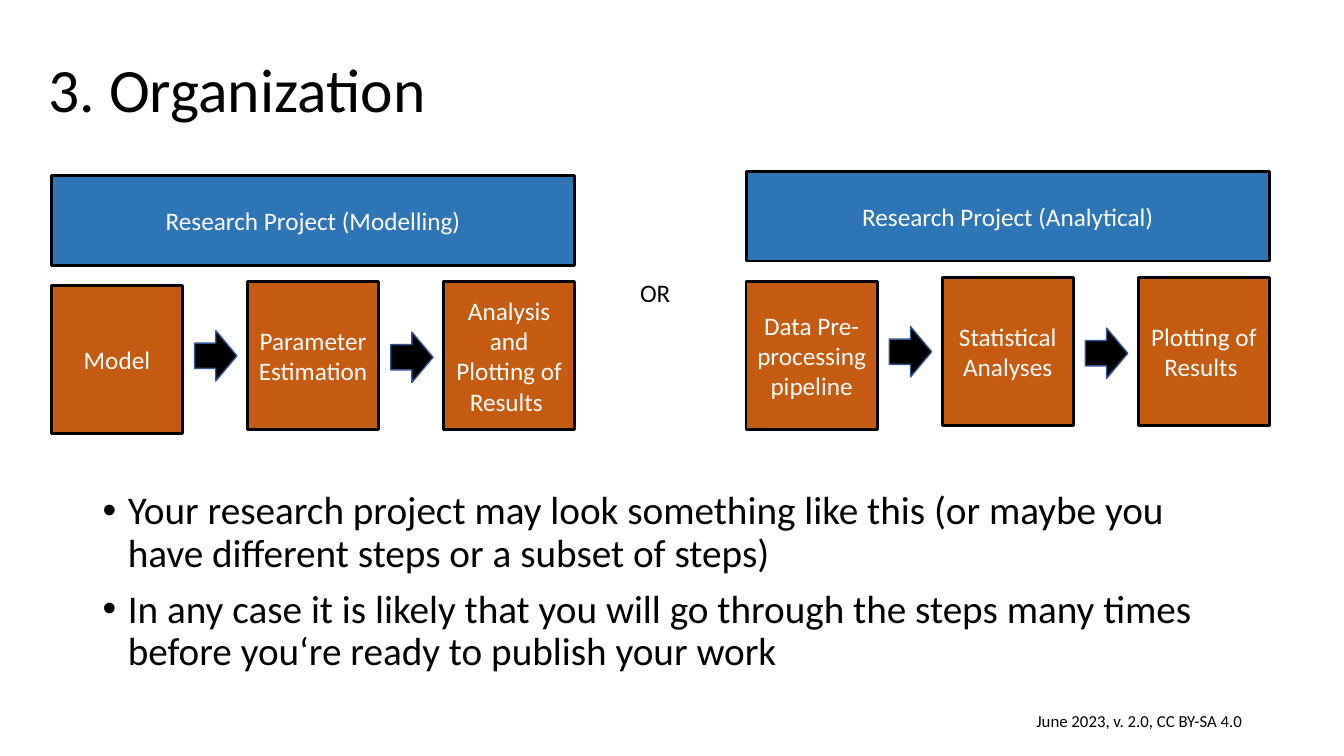
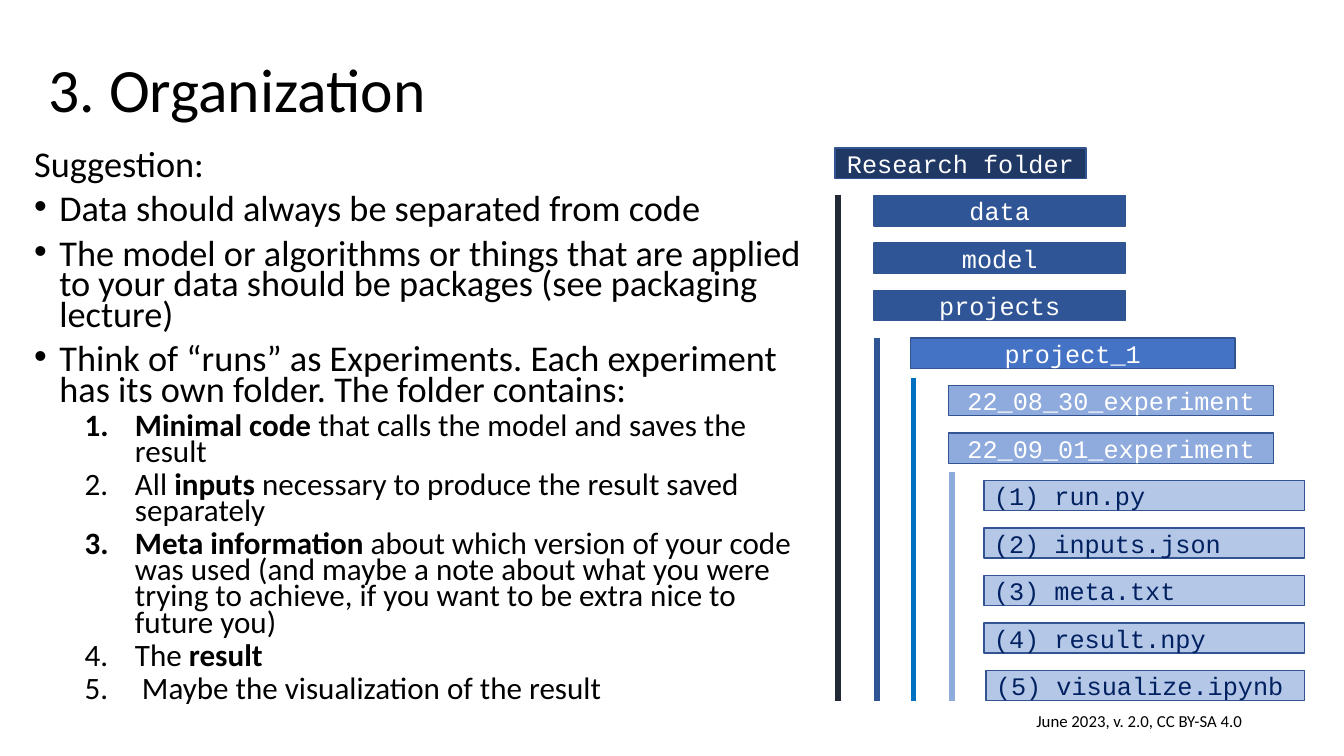
"""Build two slides on organizing a research project."""
from dataclasses import dataclass

from lxml import etree
from pptx import Presentation
from pptx.dml.color import RGBColor
from pptx.enum.shapes import MSO_CONNECTOR, MSO_SHAPE
from pptx.enum.text import MSO_ANCHOR, MSO_AUTO_SIZE, PP_ALIGN
from pptx.oxml.ns import qn
from pptx.presentation import Presentation as Deck
from pptx.shapes.autoshape import Shape
from pptx.slide import Slide
from pptx.text.text import TextFrame
from pptx.util import Inches, Pt

RECTANGLE, ARROW = MSO_SHAPE.RECTANGLE, MSO_SHAPE.RIGHT_ARROW
STRAIGHT = MSO_CONNECTOR.STRAIGHT
TOP, MIDDLE = MSO_ANCHOR.TOP, MSO_ANCHOR.MIDDLE
LEFT, CENTER, RIGHT = PP_ALIGN.LEFT, PP_ALIGN.CENTER, PP_ALIGN.RIGHT
NO_AUTOFIT = MSO_AUTO_SIZE.NONE

SLIDE_WIDTH, SLIDE_HEIGHT = Inches(13.33), Inches(7.5)
GRID_ROWS = 75
CELL = SLIDE_HEIGHT // GRID_ROWS
TITLE_ONLY = 5
SANS, MONO = "Calibri", "Courier New"
COLORS = {
    "black": "000000",
    "white": "FFFFFF",
    "banner": "2E75B6",
    "step": "C55A11",
    "outline": "325491",
    "root": "203864",
    "root guide": "222A35",
    "folder": "2F5597",
    "project": "4472C4",
    "project guide": "0070C0",
    "experiment": "8FAADC",
    "file": "B4C7E7",
    "file text": "002060",
}


@dataclass(frozen=True)
class Area:
    """A rectangle measured in grid columns and rows."""

    column: float
    row: float
    columns: float
    rows: float

    def emu(self) -> tuple[int, int, int, int]:
        """Return left, top, width and height in slide units."""
        return (round(self.column * CELL), round(self.row * CELL),
                round(self.columns * CELL), round(self.rows * CELL))


@dataclass(frozen=True)
class Line:
    """A paragraph whose bold parts stand between asterisks."""

    text: str
    bullet: str = ""
    level: int = 0


@dataclass(frozen=True)
class Flow:
    """A project banner with its steps below."""

    column: float
    row: float
    banner: str
    steps: tuple[str, ...]


@dataclass(frozen=True)
class Level:
    """A depth of the folder tree, with the guide line below it."""

    column: float
    columns: float
    fill: str
    guide: str = ""
    guide_row: float = 0
    text_color: str = "white"
    align: PP_ALIGN = CENTER


@dataclass(frozen=True)
class Entry:
    """A named row of the folder tree."""

    name: str
    depth: int
    indent: float = 0


TITLE = "3. Organization"
TITLE_AREA = Area(3.8, 4, 125.6, 10.4)
FOOTER = "June 2023, v. 2.0, CC BY-SA 4.0"
FOOTER_AREA = Area(79.2, 69.5, 45, 4)

STEP_PITCH = 19.45
FLOWS = (
    Flow(5.1, 17.4, "Research Project (Modelling)",
         ("Model", "Parameter Estimation", "Analysis\nand Plotting of Results ")),
    Flow(74, 17, "Research Project (Analytical)",
         ("Data Pre-processing pipeline", "Statistical Analyses", "Plotting of Results ")),
)
REMARKS = (
    Line("Your research project may look something like this (or maybe you have "
         "different steps or a subset of steps)", "•"),
    Line("In any case it is likely that you will go through the steps many times "
         "before you‘re ready to publish your work", "•"),
)

SUGGESTIONS = (
    Line("Suggestion:"),
    Line("Data should always be separated from code", "•"),
    Line("The model or algorithms or things that are applied to your data should be "
         "packages (see packaging lecture)", "•"),
    Line("Think of “runs” as Experiments. Each experiment has its own folder. "
         "The folder contains:", "•"),
    Line("*Minimal code *that calls the model and saves the result", "1.", 1),
    Line("All *inputs* necessary to produce the result saved separately", "1.", 1),
    Line("*Meta information *about which version of your code was used (and maybe a note "
         "about what you were trying to achieve, if you want to be extra nice to "
         "future you)", "1.", 1),
    Line("The *result*", "1.", 1),
    Line(" Maybe the visualization of the result", "1.", 1),
)

TREE_ROW, TREE_PITCH, ENTRY_ROWS = 14.7, 4.71, 3
GUIDE_INSET, GUIDE_END = 0.3, 69.5
LEVELS = (
    Level(82.8, 24.9, "root", "root guide", 19.3),
    Level(86.7, 24.9, "folder", "folder", 33.5),
    Level(90.3, 32.2, "project", "project guide", 37.5),
    Level(94.1, 32.2, "experiment", "experiment", 46.8),
    Level(97.6, 31.8, "file", text_color="file text", align=LEFT),
)
ENTRIES = (
    Entry("Research folder", 0),
    Entry("data", 1),
    Entry("model", 1),
    Entry("projects", 1),
    Entry("project_1", 2),
    Entry("22_08_30_experiment", 3),
    Entry("22_09_01_experiment", 3),
    Entry("(1) run.py", 4),
    Entry("(2) inputs.json", 4),
    Entry("(3) meta.txt", 4),
    Entry("(4) result.npy", 4),
    Entry("(5) visualize.ipynb", 4, 0.2),
)


def rgb(name: str) -> RGBColor:
    """Look up a named colour."""
    return RGBColor.from_string(COLORS[name])


def write_text(frame: TextFrame, lines: tuple[Line, ...], *, sizes: tuple[float, ...] = (18,),
               font: str = SANS, color: str = "black", align: PP_ALIGN = LEFT,
               anchor: MSO_ANCHOR = TOP, spacing: float = 1,
               before: tuple[float, ...] = (0,)) -> None:
    """Fill a frame with paragraphs; sizes and spaces before go by level."""
    frame.word_wrap = True
    frame.auto_size = NO_AUTOFIT
    frame.vertical_anchor = anchor
    for index, line in enumerate(lines):
        paragraph = frame.add_paragraph() if index else frame.paragraphs[0]
        if line.bullet:
            add_bullet(paragraph._p.get_or_add_pPr(), line)
        paragraph.level = line.level
        paragraph.alignment = align
        paragraph.line_spacing = spacing
        paragraph.space_before = Pt(before[line.level] if index else 0)
        for position, part in enumerate(line.text.split("*")):
            if part:
                run = paragraph.add_run()
                run.text = part
                run.font.name = font
                run.font.size = Pt(sizes[line.level])
                run.font.bold = position % 2 == 1
                run.font.color.rgb = rgb(color)


def add_bullet(properties: etree._Element, line: Line) -> None:
    """Give a paragraph a hanging bullet or an automatic number."""
    margin, hanging = (1, 0.5) if line.level else (0.25, 0.25)
    properties.set("marL", str(Inches(margin)))
    properties.set("indent", str(-Inches(hanging)))
    if line.bullet == "1.":
        etree.SubElement(properties, qn("a:buFont"), typeface="+mj-lt")
        etree.SubElement(properties, qn("a:buAutoNum"), type="arabicPeriod")
    else:
        etree.SubElement(properties, qn("a:buFont"), typeface="Arial")
        etree.SubElement(properties, qn("a:buChar"), char=line.bullet)


def add_text(slide: Slide, area: Area, lines: tuple[Line, ...], **style) -> None:
    """Add a text box."""
    write_text(slide.shapes.add_textbox(*area.emu()).text_frame, lines, **style)


def add_block(slide: Slide, area: Area, fill: str, *, kind: MSO_SHAPE = RECTANGLE,
              outline: str = "outline", weight: float = 1) -> Shape:
    """Add a filled, outlined shape."""
    shape = slide.shapes.add_shape(kind, *area.emu())
    shape.shadow.inherit = False
    shape.fill.solid()
    shape.fill.fore_color.rgb = rgb(fill)
    shape.line.color.rgb = rgb(outline)
    shape.line.width = Pt(weight)
    return shape


def add_project_box(slide: Slide, area: Area, text: str, fill: str) -> None:
    """Add a black-edged box with centred white text."""
    box = add_block(slide, area, fill, outline="black", weight=2)
    lines = tuple(Line(part) for part in text.split("\n"))
    write_text(box.text_frame, lines, color="white", align=CENTER, anchor=MIDDLE)


def add_flow(slide: Slide, flow: Flow) -> None:
    """Draw a banner, its steps and the arrows between them."""
    for index, step in enumerate(flow.steps):
        column = flow.column + index * STEP_PITCH
        row = flow.row + (10.55 if index else 10.9)
        add_project_box(slide, Area(column, row, 13, 14.7), step, "step")
        if index < len(flow.steps) - 1:
            arrow = Area(column + 14.2, flow.row + 15.4 + 0.15 * index, 4.2, 5)
            add_block(slide, arrow, "black", kind=ARROW)
    add_project_box(slide, Area(flow.column, flow.row, 51.9, 8.9), flow.banner, "banner")


def add_guide(slide: Slide, level: Level) -> None:
    """Draw the vertical line that marks the content of a folder."""
    column = round((level.column + GUIDE_INSET) * CELL)
    guide = slide.shapes.add_connector(STRAIGHT, column, round(level.guide_row * CELL),
                                       column, round(GUIDE_END * CELL))
    guide.line.color.rgb = rgb(level.guide)
    guide.line.width = Pt(4)
    etree.SubElement(guide._element.spPr, qn("a:effectLst"))


def add_tree(slide: Slide) -> None:
    """Draw the folder tree with its guide lines."""
    for index, entry in enumerate(ENTRIES):
        level = LEVELS[entry.depth]
        area = Area(level.column + entry.indent, TREE_ROW + index * TREE_PITCH,
                    level.columns - entry.indent, ENTRY_ROWS)
        box = add_block(slide, area, level.fill)
        write_text(box.text_frame, (Line(entry.name),), font=MONO, color=level.text_color,
                   align=level.align, anchor=MIDDLE)
    for level in LEVELS:
        if level.guide:
            add_guide(slide, level)


def add_slide(presentation: Deck) -> Slide:
    """Add a slide with the shared title and footer."""
    slide = presentation.slides.add_slide(presentation.slide_layouts[TITLE_ONLY])
    title = slide.shapes.title
    title.left, title.top, title.width, title.height = TITLE_AREA.emu()
    write_text(title.text_frame, (Line(TITLE),), sizes=(44,), anchor=MIDDLE, spacing=0.9)
    add_text(slide, FOOTER_AREA, (Line(FOOTER),), sizes=(12,), align=RIGHT, anchor=MIDDLE)
    return slide


def main() -> None:
    """Build and save the presentation."""
    presentation = Presentation()
    presentation.slide_width, presentation.slide_height = SLIDE_WIDTH, SLIDE_HEIGHT

    steps_slide = add_slide(presentation)
    for flow in FLOWS:
        add_flow(steps_slide, flow)
    add_text(steps_slide, Area(62.5, 27, 6, 4), (Line("OR"),))
    add_text(steps_slide, Area(9.2, 48.2, 115, 19.4), REMARKS,
             sizes=(28,), spacing=0.9, before=(10,))

    folder_slide = add_slide(presentation)
    add_text(folder_slide, Area(2.4, 14.7, 78.2, 56.4), SUGGESTIONS,
             sizes=(25.9, 22.2), spacing=0.7, before=(10, 5))
    add_tree(folder_slide)

    presentation.save("out.pptx")


if __name__ == "__main__":
    main()
